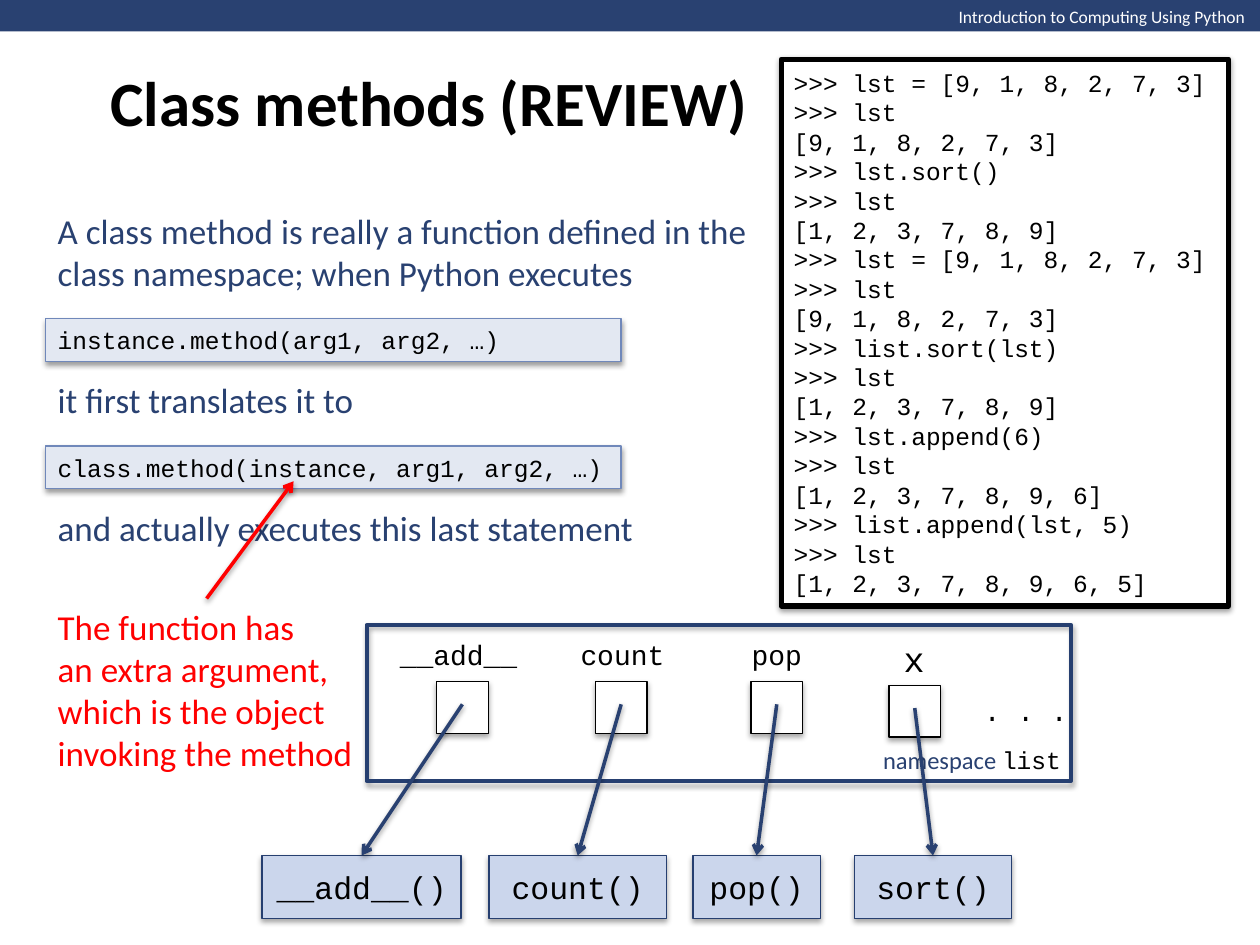
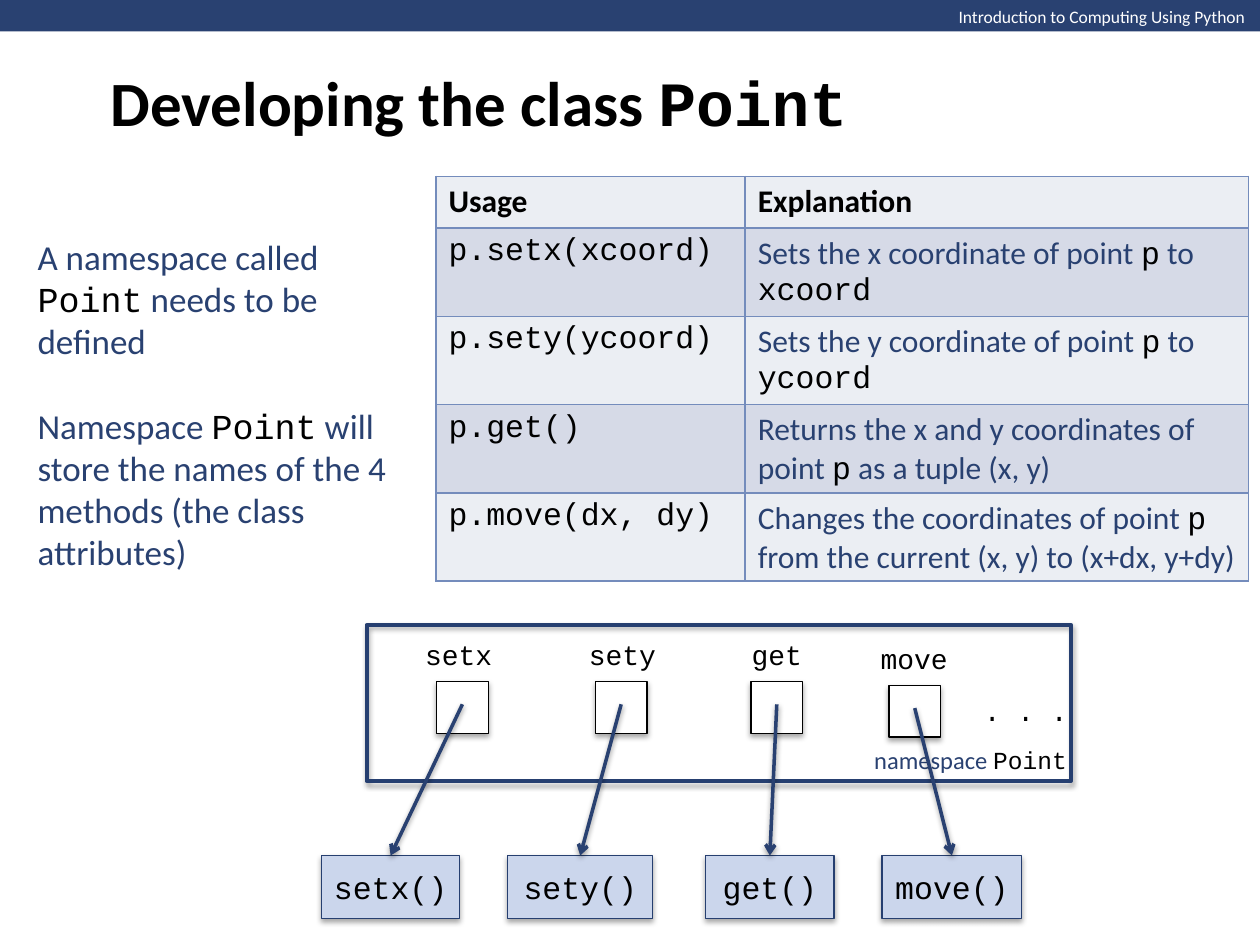
from dataclasses import dataclass
from typing import NamedTuple, Optional

from lxml import etree
from pptx import Presentation
from pptx.dml.color import RGBColor
from pptx.enum.shapes import MSO_CONNECTOR, MSO_SHAPE
from pptx.enum.text import MSO_ANCHOR, MSO_AUTO_SIZE, PP_ALIGN
from pptx.oxml.ns import qn
from pptx.util import Inches, Pt

RECT = MSO_SHAPE.RECTANGLE
STRAIGHT = MSO_CONNECTOR.STRAIGHT
TOP, MIDDLE = MSO_ANCHOR.TOP, MSO_ANCHOR.MIDDLE
LEFT, CENTER = PP_ALIGN.LEFT, PP_ALIGN.CENTER
FIT, FIXED = MSO_AUTO_SIZE.SHAPE_TO_FIT_TEXT, MSO_AUTO_SIZE.NONE

SLIDE_W, SLIDE_H = Inches(10), Inches(7.5)
COLUMNS = 100
UNIT = SLIDE_W / COLUMNS
LINE_SPACING = 1.22
BODY, CODE = "Calibri", "Courier New"
COLORS = {
    "navy": "294171", "frame": "263F70", "black": "000000", "white": "FFFFFF",
    "red": "FF0000", "function": "CBD6EC", "code_fill": "E3E8F2",
    "code_line": "7088BA", "grid": "748CBC", "row_light": "EBEEF3", "row_dark": "D6DAE7",
}


class Area(NamedTuple):
    x: float
    y: float
    w: float
    h: float


class Shadow(NamedTuple):
    alpha: int
    distance: int


class Slot(NamedTuple):
    cell_x: float
    cell_y: float
    label_center: float


@dataclass
class Method:
    label: str
    label_w: float
    function: str
    function_x: float
    function_w: float
    label_size: int = 16


DEEP, SOFT = Shadow(38000, 20000), Shadow(35000, 23000)
NAMESPACE = Area(29.1, 49.6, 55.9, 12.4)
CELL_SIZE, FUNCTION_Y, FUNCTION_H = 4.1, 67.9, 5
LABEL_H = {16: 3.7, 20: 4.4}
SLOTS = (Slot(34.65, 54.1, 36.4), Slot(47.25, 54.1, 49.4),
         Slot(59.6, 54.1, 61.65), Slot(70.55, 54.4, 72.55))

LIST_METHODS = (
    Method("__add__", 14.6, "__add__()", 20.8, 15.8),
    Method("count", 11.3, "count()", 38.8, 14.1),
    Method("pop", 7.1, "pop()", 55, 10.1),
    Method("x", 7.1, "sort()", 67.8, 12.5, 20),
)
POINT_METHODS = (
    Method("setx", 14.6, "setx()", 25.5, 11),
    Method("sety", 11.3, "sety()", 40.3, 11.5),
    Method("get", 7.1, "get()", 56, 10.2),
    Method("move", 9.3, "move()", 70, 11.1),
)
SESSION = """>>> lst = [9, 1, 8, 2, 7, 3]
>>> lst
[9, 1, 8, 2, 7, 3]
>>> lst.sort()
>>> lst
[1, 2, 3, 7, 8, 9]
>>> lst = [9, 1, 8, 2, 7, 3]
>>> lst
[9, 1, 8, 2, 7, 3]
>>> list.sort(lst)
>>> lst
[1, 2, 3, 7, 8, 9]
>>> lst.append(6)
>>> lst
[1, 2, 3, 7, 8, 9, 6]
>>> list.append(lst, 5)
>>> lst
[1, 2, 3, 7, 8, 9, 6, 5]"""
METHOD_CALLS = """A class method is really a function defined in the class namespace; when Python executes


it first translates it to


and actually executes this last statement"""
EXTRA_ARGUMENT = """The function has
an extra argument,
which is the object
invoking the method"""
POINT_NAMESPACE = """A namespace called `Point` needs to be defined

Namespace `Point` will store the names of the 4 methods (the class
attributes)"""
USAGE = (
    ("Usage", "Explanation"),
    ("`p.setx(xcoord)`", "Sets the x coordinate of point `p` to `xcoord`"),
    ("`p.sety(ycoord)`", "Sets the y coordinate of point `p` to `ycoord`"),
    ("`p.get()`", "Returns the x and y coordinates of point `p` as a tuple (x, y)"),
    ("`p.move(dx, dy)`",
     "Changes the coordinates of point `p` from the current (x, y) to (x+dx, y+dy)"),
)
USAGE_AREA = Area(34.6, 14, 64.5, 35.1)
USAGE_COLUMNS, USAGE_ROW_H = (24.55, 39.95), 4.1


def rgb(name: str) -> RGBColor:
    return RGBColor.from_string(COLORS[name])


def units(*values: float) -> list[int]:
    return [round(v * UNIT) for v in values]


def write(tf, text: str, *, size: float, font: str = BODY, color: str = "navy",
          bold: bool = False, align=LEFT) -> None:
    """Backticks mark code; blank lines become spacing before the next paragraph."""
    p, blanks = tf.paragraphs[0], 0
    for i, line in enumerate(text.split("\n")):
        if not line:
            blanks += 1
            continue
        if i:
            p = tf.add_paragraph()
        p.alignment = align
        p.space_before = Pt(round(blanks * size * LINE_SPACING, 1))
        blanks = 0
        for j, part in enumerate(line.split("`")):
            if part:
                r = p.add_run()
                r.text = part
                r.font.name = CODE if j % 2 else font
                r.font.size = Pt(size)
                r.font.bold = bold
                r.font.color.rgb = rgb("black" if j % 2 else color)


def set_frame(tf, anchor=MIDDLE, wrap: bool = True, grow: bool = True) -> None:
    tf.word_wrap = wrap
    tf.auto_size = FIT if grow else FIXED
    tf.vertical_anchor = anchor


def add_text(sl, area: Area, text: str, *, anchor=MIDDLE, wrap: bool = True,
             grow: bool = True, **style) -> None:
    tf = sl.shapes.add_textbox(*units(*area)).text_frame
    set_frame(tf, anchor, wrap, grow)
    write(tf, text, **style)


def cast(effects, shadow: Shadow) -> None:
    outer = etree.SubElement(effects, qn("a:outerShdw"), blurRad="40000",
                             dist=str(shadow.distance), dir="5400000", rotWithShape="0")
    tint = etree.SubElement(outer, qn("a:srgbClr"), val=COLORS["black"])
    etree.SubElement(tint, qn("a:alpha"), val=str(shadow.alpha))


def add_box(sl, area: Area, *, fill: Optional[str] = None, line: Optional[str] = None,
            width: float = 0.75, shadow: Optional[Shadow] = None):
    s = sl.shapes.add_shape(RECT, *units(*area))
    s.shadow.inherit = False
    if fill:
        s.fill.solid()
        s.fill.fore_color.rgb = rgb(fill)
    else:
        s.fill.background()
    if line:
        s.line.color.rgb = rgb(line)
        s.line.width = Pt(width)
    else:
        s.line.fill.background()
    if shadow:
        cast(s._element.spPr.find(qn("a:effectLst")), shadow)
    return s


def add_code(sl, area: Area, text: str, **look) -> None:
    tf = add_box(sl, area, shadow=DEEP, **look).text_frame
    set_frame(tf)
    write(tf, text, size=14, font=CODE, color="black")


def add_arrow(sl, x1: float, y1: float, x2: float, y2: float, color: str = "navy") -> None:
    s = sl.shapes.add_connector(STRAIGHT, *units(x1, y1, x2, y2))
    s.line.color.rgb = rgb(color)
    s.line.width = Pt(2)
    etree.SubElement(s.line._get_or_add_ln(), qn("a:tailEnd"), type="arrow")
    cast(etree.SubElement(s._element.spPr, qn("a:effectLst")), DEEP)


def add_method(sl, slot: Slot, m: Method) -> None:
    add_box(sl, Area(slot.cell_x, slot.cell_y, CELL_SIZE, CELL_SIZE),
            fill="white", line="black", shadow=SOFT)
    h = LABEL_H[m.label_size]
    label = Area(slot.label_center - m.label_w / 2, slot.cell_y - 2.15 - h / 2, m.label_w, h)
    add_text(sl, label, m.label, size=m.label_size, font=CODE, color="black", align=CENTER)
    s = add_box(sl, Area(m.function_x, FUNCTION_Y, m.function_w, FUNCTION_H),
                fill="function", line="frame", shadow=SOFT)
    set_frame(s.text_frame, wrap=False, grow=False)
    write(s.text_frame, m.function, size=18, font=CODE, color="black", align=CENTER)
    add_arrow(sl, slot.cell_x + CELL_SIZE / 2, slot.cell_y + 1.8,
              m.function_x + m.function_w / 2, FUNCTION_Y)


def add_namespace(sl, name: str, name_area: Area, methods: tuple[Method, ...]) -> None:
    add_box(sl, NAMESPACE, line="frame", width=2.25, shadow=SOFT)
    add_text(sl, name_area, f"namespace `{name}`", size=14, wrap=False)
    for slot, method in zip(SLOTS, methods):
        add_method(sl, slot, method)
    add_text(sl, Area(77.1, 54.5, 8.8, 3.7), ". . .", size=16, font=CODE,
             color="black", wrap=False)


def add_borders(cell) -> None:
    tc_pr = cell._tc.get_or_add_tcPr()
    for i, side in enumerate(("lnL", "lnR", "lnT", "lnB")):
        ln = etree.Element(qn(f"a:{side}"), w=str(Pt(1)))
        fill = etree.SubElement(ln, qn("a:solidFill"))
        etree.SubElement(fill, qn("a:srgbClr"), val=COLORS["grid"])
        tc_pr.insert(i, ln)


def add_usage_table(sl) -> None:
    frame = sl.shapes.add_table(len(USAGE), len(USAGE_COLUMNS), *units(*USAGE_AREA))
    table = frame.table
    for column, width in zip(table.columns, units(*USAGE_COLUMNS)):
        column.width = width
    for i, (row, texts) in enumerate(zip(table.rows, USAGE)):
        row.height = units(USAGE_ROW_H)[0]
        for cell, text in zip(row.cells, texts):
            cell.fill.solid()
            cell.fill.fore_color.rgb = rgb("row_dark" if i % 2 else "row_light")
            add_borders(cell)
            write(cell.text_frame, text, size=18, bold=i == 0,
                  color="navy" if i else "black")
    frame.height = units(USAGE_AREA.h)[0]


def add_slide(prs, title: str):
    sl = prs.slides.add_slide(prs.slide_layouts[6])
    add_box(sl, Area(0, 0, COLUMNS, 2.5), fill="navy")
    add_text(sl, Area(75.1, 0, 25, 2.7), "Introduction to Computing Using Python",
             size=10, color="white", anchor=TOP, wrap=False)
    add_text(sl, Area(7.8, 0, 87.2, 16.1), title, size=36, color="black",
             bold=True, grow=False)
    return sl


def build_review(prs) -> None:
    sl = add_slide(prs, "Class methods (REVIEW)")
    add_text(sl, Area(3.6, 16.1, 58, 27.9), METHOD_CALLS, size=20)
    add_namespace(sl, "list", Area(69.1, 58.6, 16.2, 3.4), LIST_METHODS)
    add_code(sl, Area(62, 4.7, 35.5, 43.4), SESSION, fill="white", line="black", width=3)
    for y, call in ((25.3, "instance.method(arg1, arg2, …)"),
                    (35.4, "class.method(instance, arg1, arg2, …)")):
        add_code(sl, Area(3.6, y, 45.7, 3.4), call, fill="code_fill", line="code_line")
    add_text(sl, Area(3.6, 47.5, 25.7, 14.5), EXTRA_ARGUMENT, size=20, color="red", wrap=False)
    add_arrow(sl, 16.4, 47.5, 23.3, 38.2, "red")


def build_point(prs) -> None:
    sl = add_slide(prs, "Developing the class `Point`")
    add_usage_table(sl)
    add_namespace(sl, "Point", Area(68.4, 58.6, 17.4, 3.4), POINT_METHODS)
    add_text(sl, Area(2, 18.1, 31, 27.9), POINT_NAMESPACE, size=20)


def main() -> None:
    prs = Presentation()
    prs.slide_width, prs.slide_height = SLIDE_W, SLIDE_H
    build_review(prs)
    build_point(prs)
    prs.save("out.pptx")


if __name__ == "__main__":
    main()
